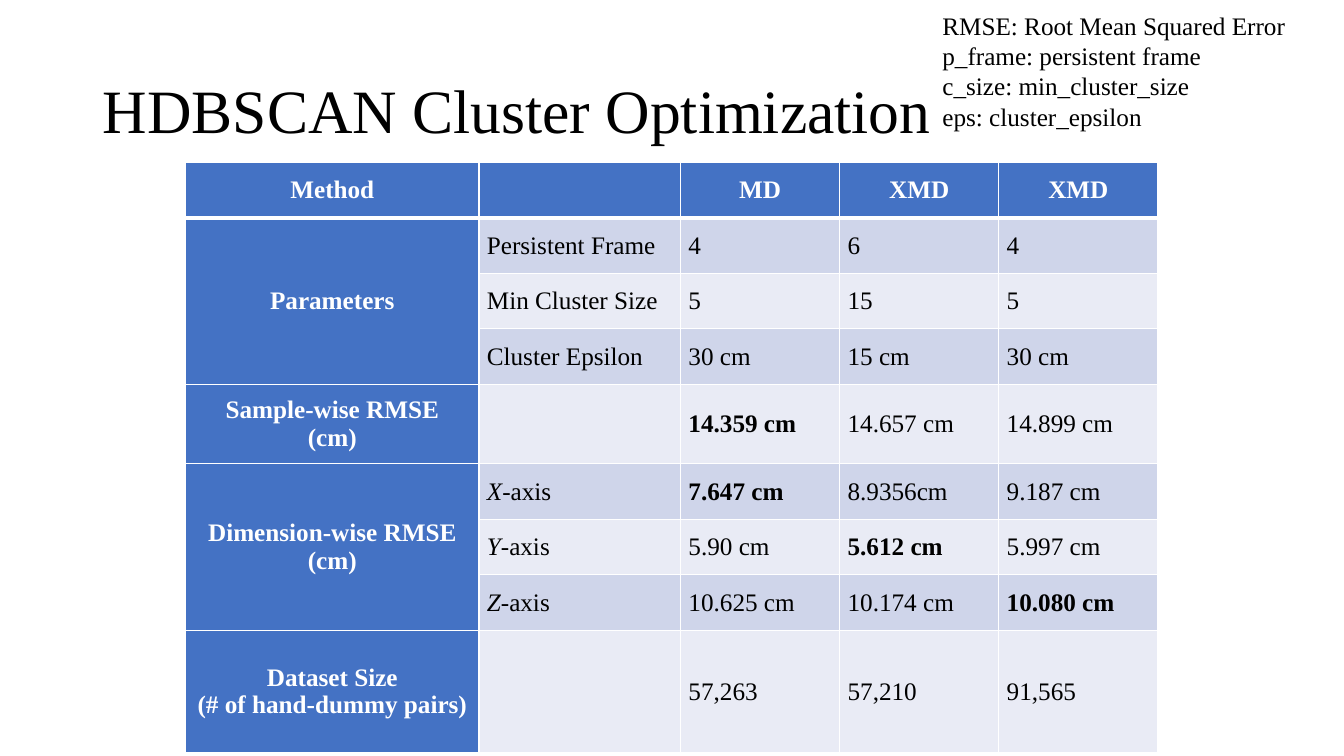
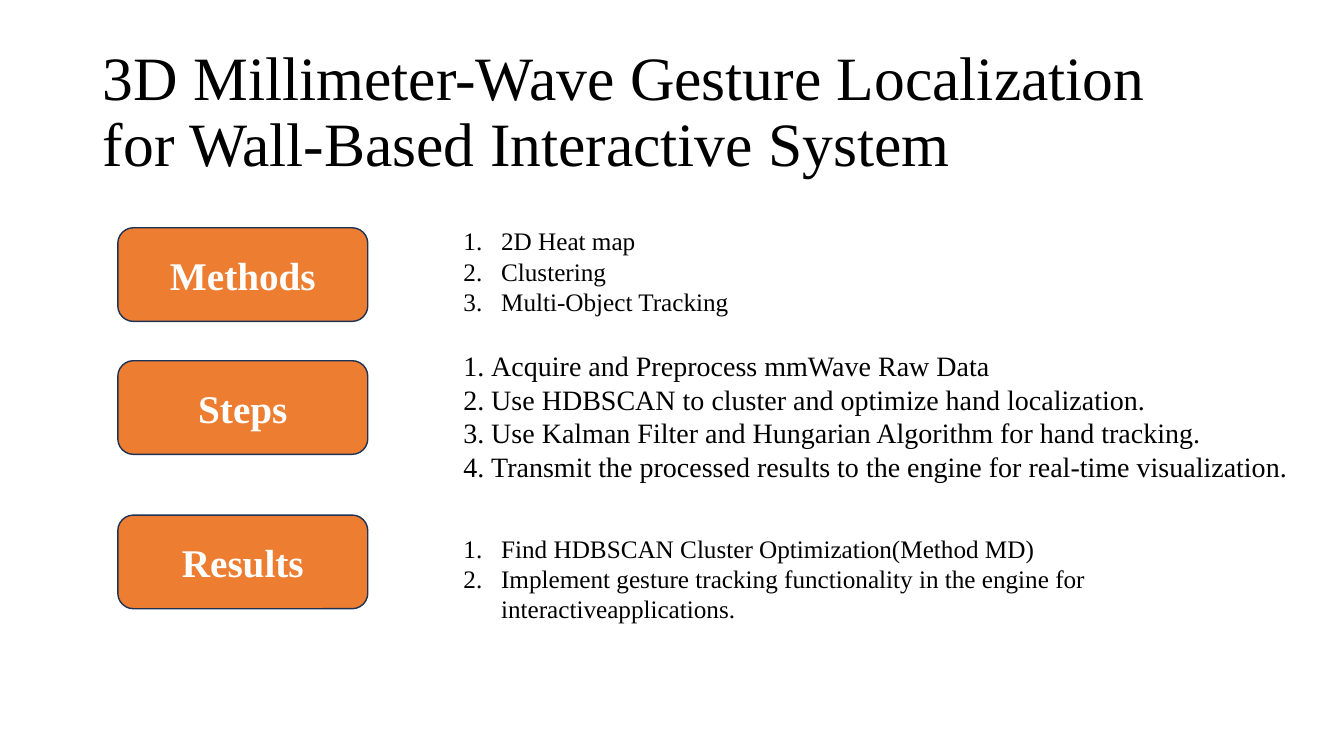
import lxml.etree
import pptx
import pptx.dml.color
import pptx.enum.shapes
import pptx.enum.text
import pptx.oxml.ns
import pptx.util

Cm = pptx.util.Cm
Pt = pptx.util.Pt
ALIGN = pptx.enum.text.PP_ALIGN
MIDDLE = pptx.enum.text.MSO_ANCHOR.MIDDLE

FONT = "Times New Roman"
BLACK, WHITE = "000000", "FFFFFF"
HEADER_BLUE, BANDS = "4472C4", ("E9EBF5", "CFD5EA")
ORANGE, NAVY = "ED7D31", "1E3256"

TABLE_TITLE = "HDBSCAN Cluster Optimization"
ABBREVIATIONS = [
    "RMSE: Root Mean Squared Error",
    "p_frame: persistent frame",
    "c_size: min_cluster_size",
    "eps: cluster_epsilon",
]
HEADINGS = ["Method", "", "MD", "XMD", "XMD"]
GROUPS = [
    ("Parameters", [
        ("Persistent Frame", ["4", "6", "4"], None),
        ("Min Cluster Size", ["5", "15", "5"], None),
        ("Cluster Epsilon", ["30 cm", "15 cm", "30 cm"], None),
    ]),
    ("Sample-wise RMSE\n(cm)", [
        ("", ["14.359 cm", "14.657 cm", "14.899 cm"], 0),
    ]),
    ("Dimension-wise RMSE (cm)", [
        ("X-axis", ["7.647 cm", "8.9356cm", "9.187 cm"], 0),
        ("Y-axis", ["5.90 cm", "5.612 cm", "5.997 cm"], 1),
        ("Z-axis", ["10.625 cm", "10.174 cm", "10.080 cm"], 2),
    ]),
    ("Dataset Size\n(# of hand-dummy pairs)", [
        ("", ["57,263", "57,210", "91,565"], None),
    ]),
]
COLUMN_WIDTHS = [7.39, 5.08, 4.01, 4.01, 4.01]
ROW_HEIGHTS = [1.4] * 4 + [2] + [1.4] * 3 + [3.08]

SUMMARY_TITLE = "3D Millimeter-Wave Gesture Localization\vfor Wall-Based Interactive System"
SECTIONS = [
    {"name": "Methods", "top": 5.74, "list_top": 5.56, "size": 18, "indent": 0.95,
     "width": 16.03, "height": 2.57,
     "items": ["2D Heat map", "Clustering", "Multi-Object Tracking"]},
    {"name": "Steps", "top": 9.09, "list_top": 8.66, "size": 20, "indent": 0.7,
     "width": 21.89, "height": 3.68,
     "items": ["Acquire and Preprocess mmWave Raw Data",
               "Use HDBSCAN to cluster and optimize hand localization.",
               "Use Kalman Filter and Hungarian Algorithm for hand tracking.",
               "Transmit the processed results to the engine for real-time visualization."]},
    {"name": "Results", "top": 12.98, "list_top": 13.31, "size": 18, "indent": 0.95,
     "width": 21.01, "height": 1.8,
     "items": ["Find HDBSCAN Cluster Optimization(Method MD)",
               "Implement gesture tracking functionality in the engine for interactiveapplications."]},
]


def rgb(value):
    return pptx.dml.color.RGBColor.from_string(value)


def add_element(parent, tag, **attributes):
    element = lxml.etree.SubElement(parent, pptx.oxml.ns.qn(tag))
    for name, value in attributes.items():
        element.set(name, str(value))
    return element


def write(frame, lines, size=18, color=BLACK, bold=False, align=ALIGN.LEFT,
          italic_letters=0, number_indent=0, spacing=None):
    for index, line in enumerate(lines):
        para = frame.add_paragraph() if index else frame.paragraphs[0]
        if number_indent:
            properties = para._p.get_or_add_pPr()
            properties.set("marL", str(Cm(number_indent)))
            properties.set("indent", str(-Cm(number_indent)))
            add_element(properties, "a:buFont", typeface="+mj-lt")
            add_element(properties, "a:buAutoNum", type="arabicPeriod")
        para.alignment = align
        if spacing:
            para.line_spacing = spacing
        for text, italic in ((line[:italic_letters], True), (line[italic_letters:], False)):
            for part_index, part in enumerate(text.split("\v")):
                if part_index:
                    para.add_line_break()
                if part:
                    span = para.add_run()
                    span.text = part
                    span.font.name, span.font.size = FONT, Pt(size)
                    span.font.bold, span.font.italic = bold, italic
                    span.font.color.rgb = rgb(color)


def add_page(deck, title):
    page = deck.slides.add_slide(deck.slide_layouts[5])
    box = page.shapes.title
    box.left, box.top, box.width, box.height = Cm(2.34), Cm(1.02), Cm(29.21), Cm(3.68)
    box.text_frame.vertical_anchor = MIDDLE
    write(box.text_frame, [title], size=44, spacing=0.9)
    return page


def add_text(page, left, top, width, height, lines, **style):
    box = page.shapes.add_textbox(Cm(left), Cm(top), Cm(width), Cm(height))
    box.text_frame.word_wrap = True
    box.text_frame.auto_size = pptx.enum.text.MSO_AUTO_SIZE.SHAPE_TO_FIT_TEXT
    write(box.text_frame, lines, **style)


def style_cell(cell, fill, bottom=1):
    properties = cell._tc.get_or_add_tcPr()
    for side, width in (("L", 1), ("R", 1), ("T", 1), ("B", bottom)):
        border = add_element(properties, f"a:ln{side}", w=Pt(width))
        add_element(add_element(border, "a:solidFill"), "a:srgbClr", val=WHITE)
    cell.fill.solid()
    cell.fill.fore_color.rgb = rgb(fill)
    cell.vertical_anchor = MIDDLE
    cell.margin_left = cell.margin_right = Cm(0.2)
    cell.margin_top = cell.margin_bottom = 0


def write_label(cell, label):
    write(cell.text_frame, label.split("\n"), color=WHITE, bold=True, align=ALIGN.CENTER)


def add_results_table(page):
    table = page.shapes.add_table(
        len(ROW_HEIGHTS), len(COLUMN_WIDTHS), Cm(4.68), Cm(4.09),
        Cm(sum(COLUMN_WIDTHS)), Cm(sum(ROW_HEIGHTS))).table
    for column, width in zip(table.columns, COLUMN_WIDTHS):
        column.width = Cm(width)
    for row, height in zip(table.rows, ROW_HEIGHTS):
        row.height = Cm(height)
    for column, heading in enumerate(HEADINGS):
        style_cell(table.cell(0, column), HEADER_BLUE, bottom=3)
        write_label(table.cell(0, column), heading)
    row = 1
    for label, measures in GROUPS:
        first = table.cell(row, 0)
        last_row = row + len(measures) - 1
        for name, values, best in measures:
            style_cell(table.cell(row, 0), HEADER_BLUE)
            for column, text in enumerate([name] + values, 1):
                cell = table.cell(row, column)
                style_cell(cell, BANDS[row % 2])
                write(cell.text_frame, [text], align=ALIGN.JUSTIFY,
                      bold=best is not None and column == best + 2,
                      italic_letters=int(text.endswith("-axis")))
            row += 1
        if len(measures) > 1:
            first.merge(table.cell(last_row, 0))
            first.margin_left = first.margin_right = Cm(0.3)
            first.margin_top = first.margin_bottom = Cm(0.15)
        write_label(first, label)


def add_section(page, section):
    box = page.shapes.add_shape(pptx.enum.shapes.MSO_SHAPE.ROUNDED_RECTANGLE,
                                Cm(2.97), Cm(section["top"]), Cm(6.3), Cm(2.36))
    box.shadow.inherit = False
    box.fill.solid()
    box.fill.fore_color.rgb = rgb(ORANGE)
    box.line.color.rgb = rgb(NAVY)
    box.line.width = Pt(1)
    box.text_frame.vertical_anchor = MIDDLE
    write(box.text_frame, [section["name"]], size=28, color=WHITE, bold=True, align=ALIGN.CENTER)
    add_text(page, 11.43, section["list_top"], section["width"], section["height"],
             section["items"], size=section["size"], number_indent=section["indent"])


def main():
    deck = pptx.Presentation()
    deck.slide_width, deck.slide_height = Cm(33.87), Cm(19.05)
    table_page = add_page(deck, TABLE_TITLE)
    add_text(table_page, 23.5, 0.13, 10.36, 3.33, ABBREVIATIONS)
    add_results_table(table_page)
    summary_page = add_page(deck, SUMMARY_TITLE)
    for section in SECTIONS:
        add_section(summary_page, section)
    deck.save("out.pptx")


if __name__ == "__main__":
    main()
